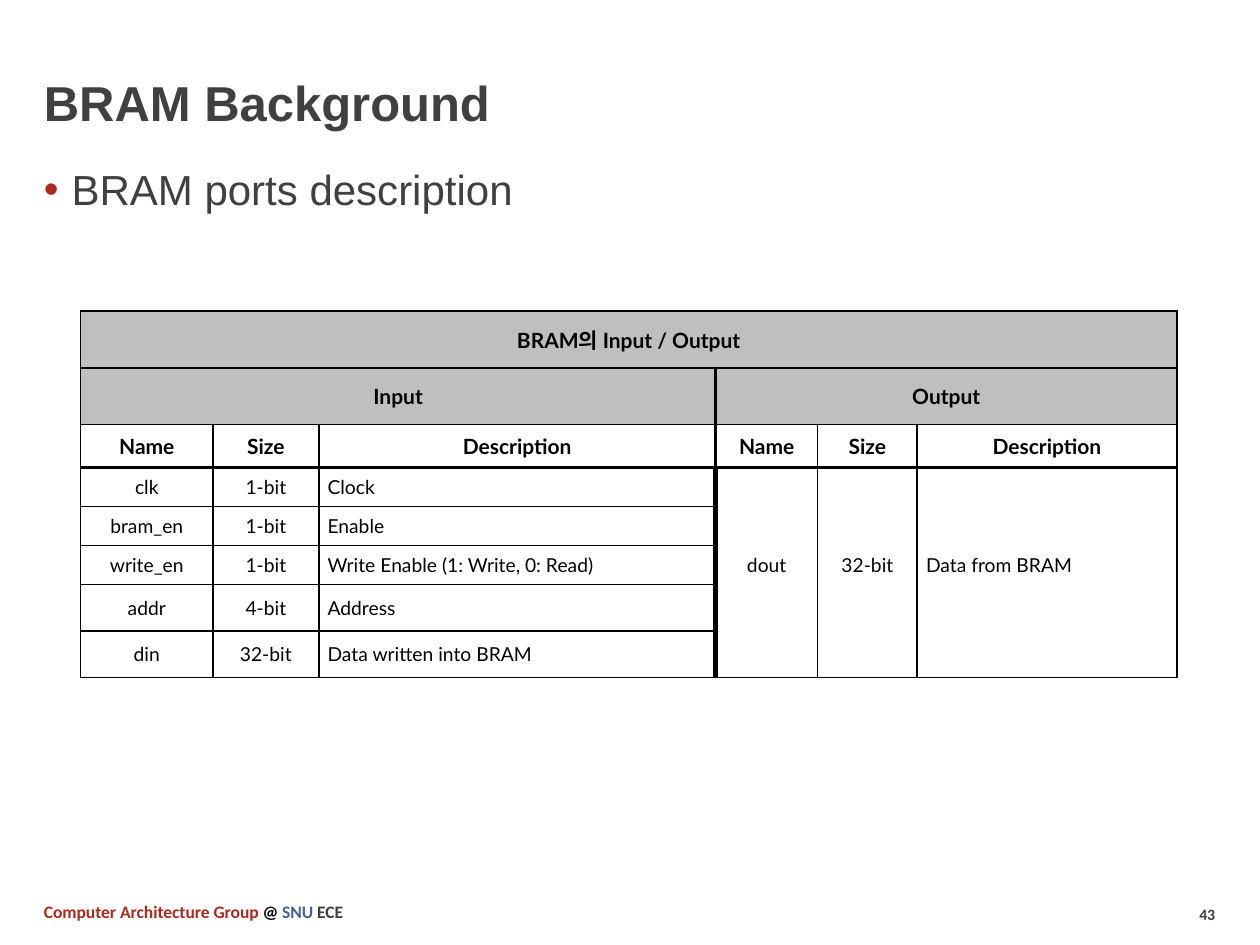
from lxml.etree import SubElement
from pptx import Presentation
from pptx.dml.color import RGBColor
from pptx.enum.text import MSO_ANCHOR as Anchor, PP_ALIGN as Align
from pptx.oxml.ns import qn
from pptx.util import Inches, Pt

COLORS = {"text": "404040", "accent": "AA2B1E", "blue": "465E9C",
          "black": "000000", "header": "BFBFBF"}

# Content: spans are (text, color)
TITLE = [("BRAM Background", "text")]
BODY = [("BRAM ports description", "text")]
FOOTER = [("Computer Architecture Group ", "accent"), ("@ ", "black"),
          ("SNU ", "blue"), ("ECE", "text")]
NUMBER = [("43", "text")]

FIELDS = ["Name", "Size", "Description"]
INPUTS = [("clk", "1-bit", "Clock"),
          ("bram_en", "1-bit", "Enable"),
          ("write_en", "1-bit", "Write Enable (1: Write, 0: Read)"),
          ("addr", "4-bit", "Address"),
          ("din", "32-bit", "Data written into BRAM")]
OUTPUT = ("dout", "32-bit", "Data from BRAM")
OUTPUT_PORT = 2  # the output text stands beside the middle input
NO_TEXT = ("", "", "")
ROWS = [["BRAM의 Input / Output"] + [""] * 5,
        ["Input", "", "", "Output", "", ""],
        FIELDS * 2]
ROWS += [port + (OUTPUT if i == OUTPUT_PORT else NO_TEXT)
         for i, port in enumerate(INPUTS)]

# Table grid, in inches
LEFT, TOP = 0.64, 2.47
WIDTHS = [1.05, 0.84, 3.15, 0.81, 0.79, 2.06]
HEIGHTS = [0.45, 0.45, 0.34, 0.31, 0.31, 0.31, 0.37, 0.37]
MERGES = [(0, 0, 5), (1, 0, 2), (1, 3, 5)]  # row, first column, last column
FIRST_PORT, FIRST_OUTPUT = 3, 3
THIN, THICK, DIVIDER = 1, 2.25, 3


def rgb(name):
    return RGBColor.from_string(COLORS[name])


def style(span, font, size, color, bold):
    span.font.name, span.font.size, span.font.bold = font, Pt(size), bold
    span.font.color.rgb = rgb(color)


def add_text(page, frame, spans, font, size, bold=True, anchor=Anchor.TOP):
    box = page.shapes.add_textbox(*map(Inches, frame))
    box.text_frame.word_wrap = True
    box.text_frame.vertical_anchor = anchor
    para = box.text_frame.paragraphs[0]
    for text, color in spans:
        span = para.add_run()
        span.text = text
        style(span, font, size, color, bold)
    return para


def add_bullet(para):
    para.space_before = Pt(4.5)
    props = para._p.get_or_add_pPr()
    props.set("marL", str(Inches(0.22)))
    props.set("indent", str(-Inches(0.22)))
    color = SubElement(props, qn("a:buClr"))
    SubElement(color, qn("a:srgbClr"), val=COLORS["accent"])
    SubElement(props, qn("a:buFont"), typeface="Arial")
    SubElement(props, qn("a:buChar"), char="•")


def row_line(edge, column):
    """Width of the horizontal line above row number edge."""
    if edge == FIRST_PORT:
        return THICK
    inside_output = column >= FIRST_OUTPUT and FIRST_PORT < edge < len(ROWS)
    return 0 if inside_output else THIN


def column_line(edge, row):
    """Width of the vertical line left of column number edge."""
    if edge != FIRST_OUTPUT or row == 0:
        return THIN
    return DIVIDER if row >= FIRST_PORT else THICK


def add_borders(cell, row, column):
    props = cell._tc.get_or_add_tcPr()
    widths = {"L": column_line(column, row), "R": column_line(column + 1, row),
              "T": row_line(row, column), "B": row_line(row + 1, column)}
    for place, (side, width) in enumerate(widths.items()):
        line = props.makeelement(qn(f"a:ln{side}"), {"w": str(Pt(width))})
        props.insert(place, line)
        if width:
            fill = SubElement(line, qn("a:solidFill"))
            SubElement(fill, qn("a:srgbClr"), val=COLORS["black"])
        else:
            SubElement(line, qn("a:noFill"))


def fill_cell(cell, text, row, column):
    cell.margin_left = cell.margin_right = Inches(0.07)
    cell.margin_top = cell.margin_bottom = Inches(0.04)
    cell.vertical_anchor = Anchor.MIDDLE
    if row < 2:
        cell.fill.solid()
        cell.fill.fore_color.rgb = rgb("header")
    else:
        cell.fill.background()
    is_port = row >= FIRST_PORT
    size = 11 if is_port else 12
    para = cell.text_frame.paragraphs[0]
    if text:
        para.text = text
        style(para.runs[0], "Lato", size, "black", not is_port)
        is_description = is_port and column % len(FIELDS) == 2
        para.alignment = Align.LEFT if is_description else Align.CENTER
    else:  # keeps empty cells from stretching their row
        SubElement(para._p, qn("a:endParaRPr"), sz=str(size * 100))
    add_borders(cell, row, column)


def add_port_table(page):
    table = page.shapes.add_table(
        len(ROWS), len(WIDTHS), Inches(LEFT), Inches(TOP),
        Inches(sum(WIDTHS)), Inches(sum(HEIGHTS))).table
    table.first_row = table.horz_banding = False
    for column, width in zip(table.columns, WIDTHS):
        column.width = Inches(width)
    for row, height in zip(table.rows, HEIGHTS):
        row.height = Inches(height)
    for i, texts in enumerate(ROWS):
        for j, text in enumerate(texts):
            fill_cell(table.cell(i, j), text, i, j)
    for row, first, last in MERGES:
        table.cell(row, first).merge(table.cell(row, last))


def main():
    deck = Presentation()
    deck.slide_width, deck.slide_height = Inches(10), Inches(7.5)
    page = deck.slides.add_slide(deck.slide_layouts[6])

    # Footer
    add_text(page, (9.42, 7.13, 0.67, 0.25), NUMBER, "Calibri", 9)
    add_text(page, (0.25, 7.1, 5.04, 0.27), FOOTER, "Calibri", 10)

    # Title and body
    add_text(page, (0.25, 0.17, 9.25, 0.92), TITLE, "Arial", 28,
             anchor=Anchor.BOTTOM)
    add_bullet(add_text(page, (0.25, 1.25, 9.5, 5.67), BODY, "Arial", 24,
                        bold=False))

    # Port table
    add_port_table(page)
    deck.save("out.pptx")


if __name__ == "__main__":
    main()
